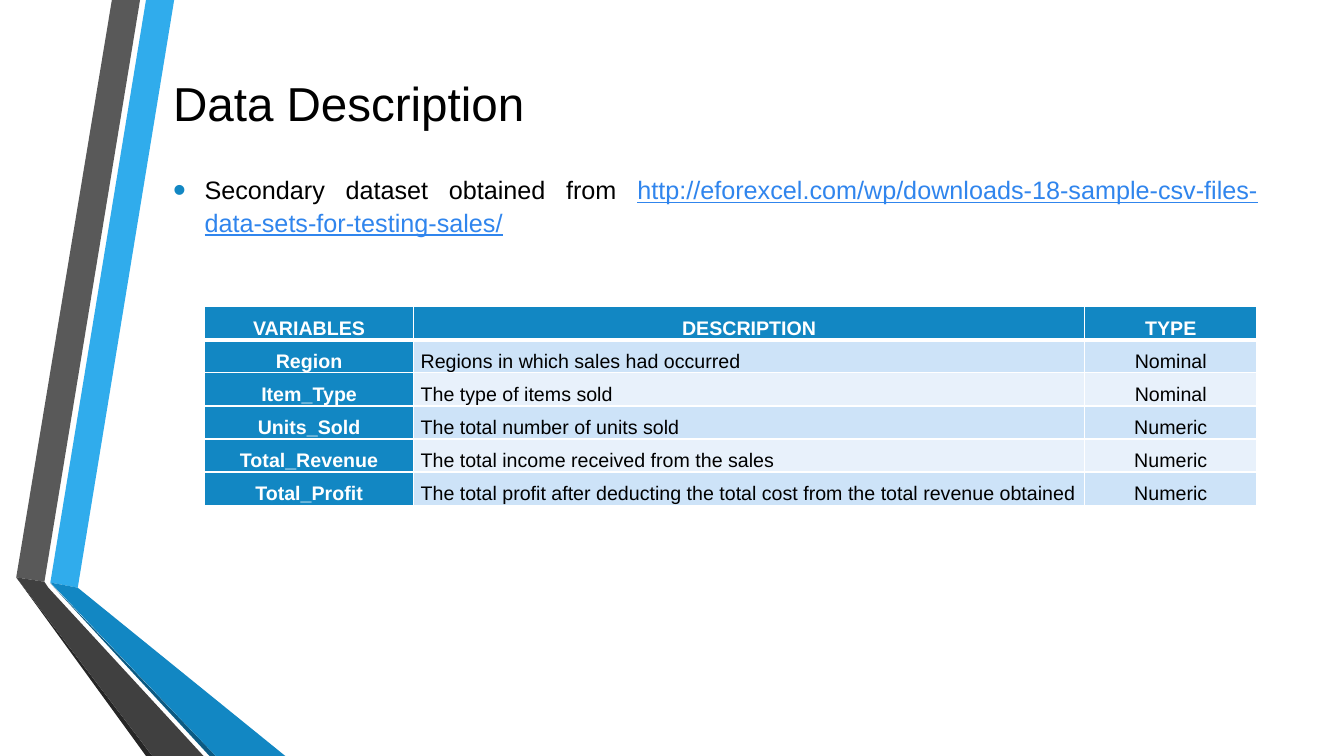
from lxml.etree import SubElement
from pptx import Presentation
from pptx.dml.color import RGBColor
from pptx.enum.text import MSO_ANCHOR, MSO_AUTO_SIZE, PP_ALIGN
from pptx.oxml.ns import qn
from pptx.util import Cm, Pt

# Content
TITLE = "Data Description"
SOURCE_TEXT = "Secondary dataset obtained from "
SOURCE_ADDRESS = ("http://eforexcel.com/wp/downloads-18-sample-csv-files-"
                  "data-sets-for-testing-sales/")
VARIABLES = [
    ("VARIABLES", "DESCRIPTION", "TYPE"),
    ("Region", "Regions in which sales had occurred", "Nominal"),
    ("Item_Type", "The type of items sold", "Nominal"),
    ("Units_Sold", "The total number of units sold", "Numeric"),
    ("Total_Revenue", "The total income received from the sales", "Numeric"),
    ("Total_Profit", "The total profit after deducting the total cost "
     "from the total revenue obtained", "Numeric"),
]
COLUMN_WIDTHS = (5.26, 16.92, 4.33)
ROW_HEIGHT = 0.83

FONT = "Arial"
BLACK, WHITE, BLUE, LINK = "000000", "FFFFFF", "1287C3", "3085ED"
BANDS = ("E8F1FB", "CDE3F8")

# Ribbon outlines on the left edge, in centimetres
RIBBONS = [
    ("30ACEC", [(1.27, 14.68), (1.96, 14.81), (4.39, 0), (3.68, 0)]),
    ("595959", [(3.53, 0), (2.82, 0), (0.41, 14.55), (1.12, 14.66)]),
    ("262626", [(0.41, 14.55), (3.68, 19.05), (3.84, 19.05)]),
    ("0C5A82", [(1.27, 14.7), (5.28, 19.05), (5.44, 19.05)]),
    (BLUE, [(1.27, 14.68), (5.44, 19.05), (7.19, 19.05), (1.96, 14.81)]),
    ("404040", [(5.13, 19.05), (1.22, 14.81), (1.12, 14.66), (0.41, 14.55),
                (3.84, 19.05)]),
]


def color(value):
    return RGBColor.from_string(value)


def add_text(paragraph, text, size=14, fill=BLACK, bold=False, underline=False,
             align=PP_ALIGN.LEFT, spacing=1.0):
    paragraph.alignment = align
    paragraph.line_spacing = spacing
    run = paragraph.add_run()
    run.text = text
    font = run.font
    font.name, font.size = FONT, Pt(size)
    font.bold, font.underline = bold, underline
    font.color.rgb = color(fill)


def place(shape, left, top, width, height):
    shape.left, shape.top = Cm(left), Cm(top)
    shape.width, shape.height = Cm(width), Cm(height)


def add_bullet(paragraph, indent):
    properties = paragraph._p.get_or_add_pPr()
    properties.set("marL", str(Cm(indent)))
    properties.set("indent", str(-Cm(indent)))
    bullet_color = SubElement(properties, qn("a:buClr"))
    SubElement(bullet_color, qn("a:srgbClr"), val=BLUE)
    SubElement(properties, qn("a:buSzPct"), val="145000")
    SubElement(properties, qn("a:buFont"), typeface=FONT)
    SubElement(properties, qn("a:buChar"), char="•")


def set_borders(cell, **widths):
    properties = cell._tc.get_or_add_tcPr()
    for side in "LRTB":
        line = SubElement(properties, qn("a:ln" + side),
                          w=str(Pt(widths.get(side, 1))))
        fill = SubElement(line, qn("a:solidFill"))
        SubElement(fill, qn("a:srgbClr"), val=WHITE)


def add_ribbons(slide):
    for fill, points in RIBBONS:
        corners = [(Cm(x), Cm(y)) for x, y in points]
        builder = slide.shapes.build_freeform(*corners[0])
        builder.add_line_segments(corners[1:], close=True)
        ribbon = builder.convert_to_shape()
        ribbon.shadow.inherit = False
        ribbon.fill.solid()
        ribbon.fill.fore_color.rgb = color(fill)
        ribbon.line.fill.background()
        # Ribbons lie behind the title and the list
        slide.shapes.title.element.addprevious(ribbon.element)


def add_variable_table(slide):
    table = slide.shapes.add_table(
        len(VARIABLES), len(COLUMN_WIDTHS), Cm(5.16), Cm(7.73),
        Cm(sum(COLUMN_WIDTHS)), Cm(ROW_HEIGHT * len(VARIABLES))).table
    for column, width in zip(table.columns, COLUMN_WIDTHS):
        column.width = Cm(width)
    for row, values in enumerate(VARIABLES):
        table.rows[row].height = Cm(ROW_HEIGHT)
        for column, value in enumerate(values):
            cell = table.cell(row, column)
            heading = row == 0 or column == 0
            set_borders(cell, T=3 if row == 1 else 1, B=3 if row == 0 else 1)
            cell.fill.solid()
            cell.fill.fore_color.rgb = color(BLUE if heading else BANDS[row % 2])
            cell.vertical_anchor = MSO_ANCHOR.MIDDLE
            cell.margin_left = cell.margin_right = Cm(0.18)
            cell.margin_top = cell.margin_bottom = 0
            description = column == 1 and not heading
            add_text(cell.text_frame.paragraphs[0], value,
                     fill=WHITE if heading else BLACK, bold=heading, spacing=1.5,
                     align=PP_ALIGN.JUSTIFY if description else PP_ALIGN.CENTER)


def main():
    presentation = Presentation()
    presentation.slide_width, presentation.slide_height = Cm(33.87), Cm(19.05)
    slide = presentation.slides.add_slide(presentation.slide_layouts[1])
    add_ribbons(slide)

    # Title and list
    title, body = slide.shapes.title, slide.placeholders[1]
    place(title, 4.11, 1.7, 27.84, 1.78)
    place(body, 4.11, 4.22, 27.84, 12.73)
    for shape, anchor in ((title, MSO_ANCHOR.MIDDLE), (body, MSO_ANCHOR.TOP)):
        shape.text_frame.auto_size = MSO_AUTO_SIZE.NONE
        shape.text_frame.vertical_anchor = anchor
    add_text(title.text_frame.paragraphs[0], TITLE, size=34)
    source = body.text_frame.paragraphs[0]
    source.space_before, source.space_after = Pt(0), Pt(6)
    add_bullet(source, 0.79)
    for text, fill, underline in ((SOURCE_TEXT, BLACK, False),
                                  (SOURCE_ADDRESS, LINK, True)):
        add_text(source, text, size=18, fill=fill, underline=underline,
                 align=PP_ALIGN.JUSTIFY, spacing=1.07)

    add_variable_table(slide)
    presentation.save("out.pptx")


if __name__ == "__main__":
    main()
